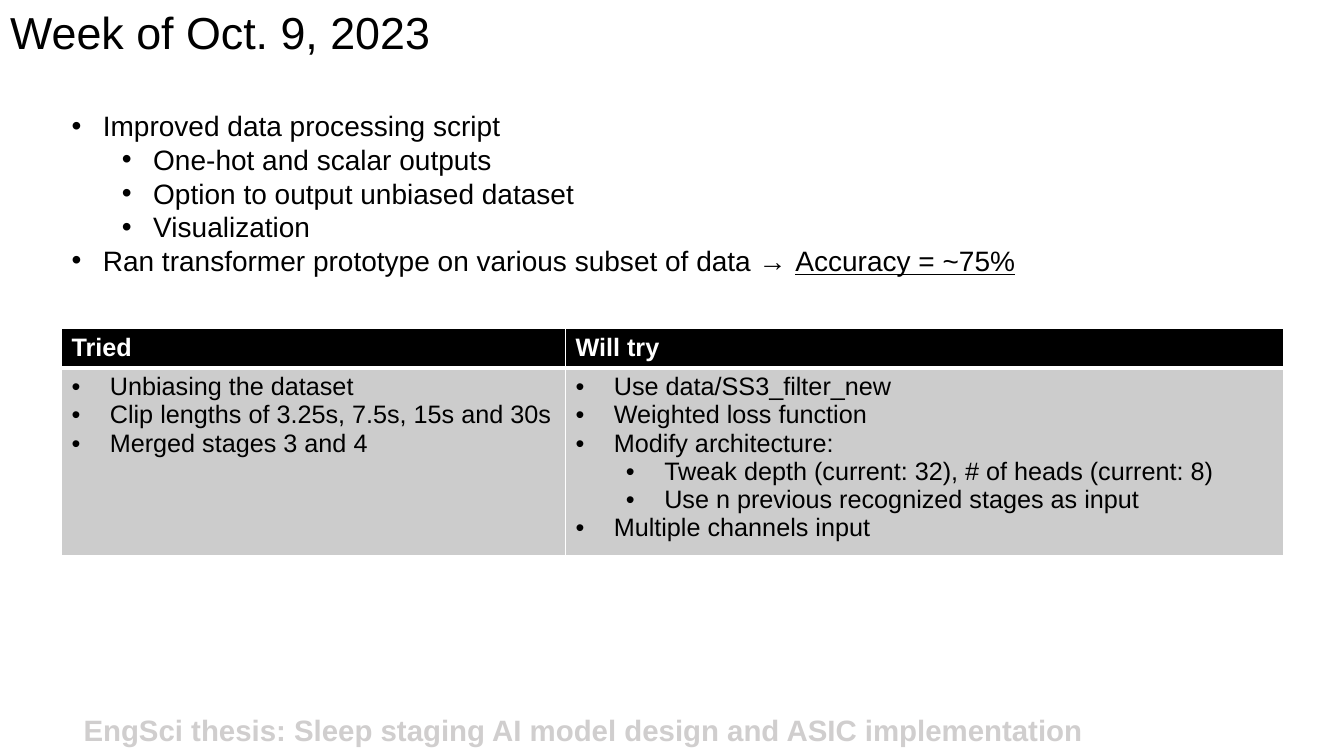
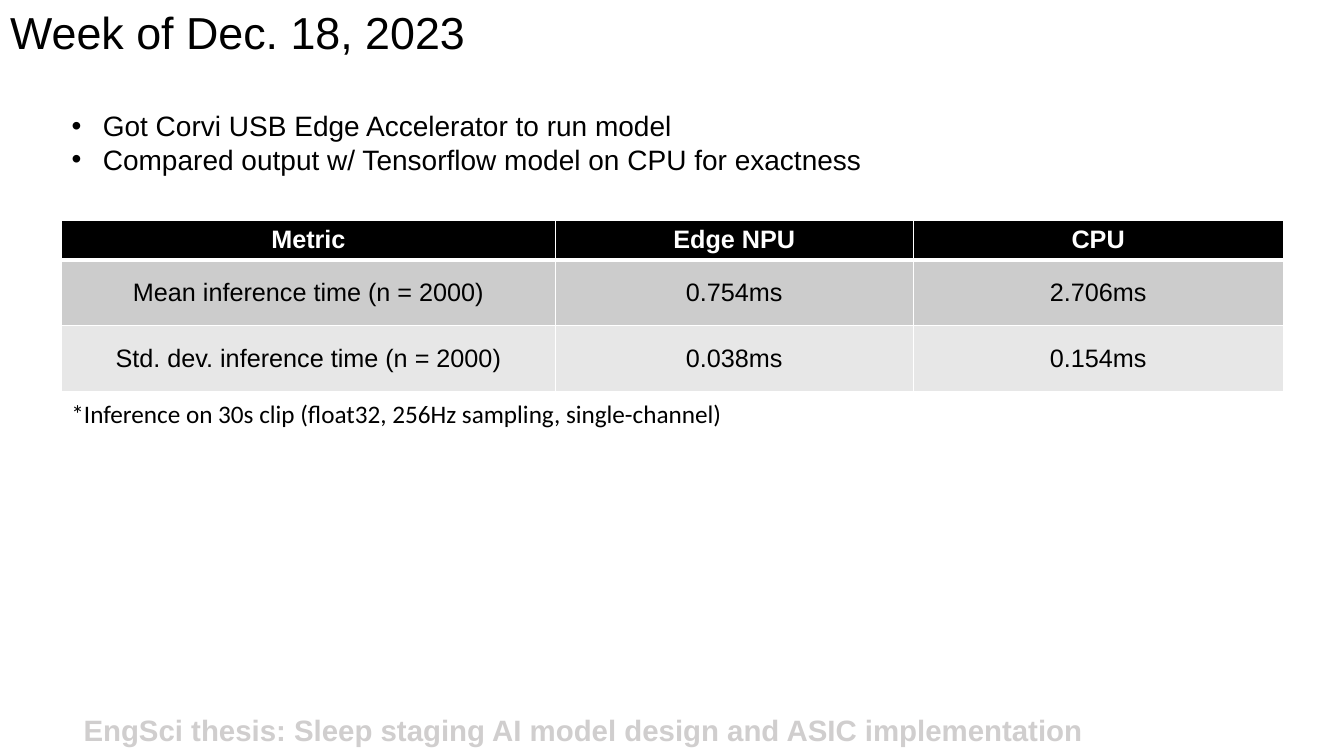
from dataclasses import dataclass

from lxml.etree import SubElement
from pptx import Presentation
from pptx.dml.color import RGBColor
from pptx.enum.text import MSO_ANCHOR, MSO_AUTO_SIZE, PP_ALIGN
from pptx.oxml.ns import qn
from pptx.util import Inches, Pt

WIDTH, HEIGHT = Inches(13.33), Inches(7.5)
COLUMNS, ROWS = 40, 30
MARGIN = 1.83
FOOTER = "EngSci thesis: Sleep staging AI model design and ASIC implementation"


@dataclass(frozen=True)
class Theme:
    font: str = "Arial"
    note_font: str = "Calibri"
    ink: RGBColor = RGBColor(0x00, 0x00, 0x00)
    paper: RGBColor = RGBColor(0xFF, 0xFF, 0xFF)
    footer: RGBColor = RGBColor(0xD0, 0xCE, 0xCE)
    bands: tuple = (RGBColor(0xCC, 0xCC, 0xCC), RGBColor(0xE7, 0xE7, 0xE7))
    title_size: int = 32
    list_size: int = 20
    table_size: int = 18
    footer_size: int = 21
    list_indent: float = 0.31
    cell_indent: float = 0.38
    level_step: float = 0.5
    thin: int = 1
    thick: int = 3


@dataclass(frozen=True)
class Item:
    text: str
    level: int = 0
    underlined: str = ""


def col(count):
    return round(count * WIDTH / COLUMNS)


def row(count):
    return round(count * HEIGHT / ROWS)


class Deck:
    def __init__(self, theme):
        self.theme = theme
        self.presentation = Presentation()
        self.presentation.slide_width = WIDTH
        self.presentation.slide_height = HEIGHT
        self.slide = None

    # Text helpers
    def add_text(self, paragraph, text, size, color=None, bold=False,
                 underline=False, font=None):
        run = paragraph.add_run()
        run.text = text
        run.font.name = font or self.theme.font
        run.font.size = Pt(size)
        run.font.bold = bold
        if underline:
            run.font.underline = True
        run.font.color.rgb = self.theme.ink if color is None else color

    def add_items(self, frame, items, size, indent):
        for index, item in enumerate(items):
            paragraph = frame.add_paragraph() if index else frame.paragraphs[0]
            paragraph.level = item.level
            paragraph.alignment = PP_ALIGN.LEFT
            paragraph.space_before = Pt(0)
            properties = paragraph._p.get_or_add_pPr()
            left = indent + item.level * self.theme.level_step
            properties.set("marL", str(Inches(left)))
            properties.set("indent", str(-Inches(indent)))
            SubElement(properties, qn("a:buFont"), typeface="Arial")
            SubElement(properties, qn("a:buChar"), char="•")
            self.add_text(paragraph, item.text, size)
            if item.underlined:
                self.add_text(paragraph, item.underlined, size, underline=True)

    def place(self, shape, left, top, width, height):
        shape.left, shape.top = col(left), row(top)
        shape.width, shape.height = col(width), row(height)
        frame = shape.text_frame
        frame.word_wrap = True
        frame.auto_size = MSO_AUTO_SIZE.NONE
        frame.vertical_anchor = MSO_ANCHOR.TOP
        return frame

    # Slide parts
    def start(self, title):
        layout = self.presentation.slide_layouts[1]
        self.slide = self.presentation.slides.add_slide(layout)
        frame = self.place(self.slide.shapes.title, 0, 0, 14.75, 2.56)
        frame.paragraphs[0].alignment = PP_ALIGN.LEFT
        self.add_text(frame.paragraphs[0], title, self.theme.title_size)
        self.line(FOOTER, 2.19, 28.08, 37.4, self.theme.footer_size,
                  color=self.theme.footer, bold=True)

    def bullets(self, items):
        height = 0.4 + 1.34 * len(items)
        frame = self.place(self.slide.placeholders[1], MARGIN, 4.12, 33.85, height)
        self.add_items(frame, items, self.theme.list_size, self.theme.list_indent)

    def line(self, text, left, top, width, size, **style):
        box = self.slide.shapes.add_textbox(0, 0, 0, 0)
        frame = self.place(box, left, top, width, 1.7)
        self.add_text(frame.paragraphs[0], text, size, **style)

    def border(self, cell, top, bottom):
        properties = cell._tc.get_or_add_tcPr()
        thin = self.theme.thin
        for side, weight in zip("LRTB", (thin, thin, top, bottom)):
            edge = SubElement(properties, qn(f"a:ln{side}"), w=str(Pt(weight)))
            fill = SubElement(edge, qn("a:solidFill"))
            SubElement(fill, qn("a:srgbClr"), val=str(self.theme.paper))

    def table(self, top, widths, heights, records, centred=False):
        theme = self.theme
        table = self.slide.shapes.add_table(
            len(heights), len(widths), col(MARGIN), row(top),
            col(sum(widths)), row(sum(heights))).table
        for column, width in zip(table.columns, widths):
            column.width = col(width)
        for line, height in zip(table.rows, heights):
            line.height = row(height)
        for r, record in enumerate(records):
            header = r == 0
            for c, content in enumerate(record):
                cell = table.cell(r, c)
                self.border(cell, theme.thick if r == 1 else theme.thin,
                            theme.thick if header else theme.thin)
                cell.fill.solid()
                cell.fill.fore_color.rgb = (
                    theme.ink if header else theme.bands[(r - 1) % 2])
                if isinstance(content, list):
                    self.add_items(cell.text_frame, content,
                                   theme.table_size, theme.cell_indent)
                    continue
                paragraph = cell.text_frame.paragraphs[0]
                if centred:
                    paragraph.alignment = PP_ALIGN.CENTER
                    if not header:
                        cell.vertical_anchor = MSO_ANCHOR.MIDDLE
                self.add_text(paragraph, content, theme.table_size,
                              theme.paper if header else theme.ink, bold=header)


def october(deck):
    deck.start("Week of Oct. 9, 2023")
    deck.bullets([
        Item("Improved data processing script"),
        Item("One-hot and scalar outputs", 1),
        Item("Option to output unbiased dataset", 1),
        Item("Visualization", 1),
        Item("Ran transformer prototype on various subset of data → ",
             underlined="Accuracy = ~75%"),
    ])
    tried = [
        Item("Unbiasing the dataset"),
        Item("Clip lengths of 3.25s, 7.5s, 15s and 30s"),
        Item("Merged stages 3 and 4"),
    ]
    will_try = [
        Item("Use data/SS3_filter_new"),
        Item("Weighted loss function"),
        Item("Modify architecture:"),
        Item("Tweak depth (current: 32), # of heads (current: 8)", 1),
        Item("Use n previous recognized stages as input", 1),
        Item("Multiple channels input"),
    ]
    deck.table(13.04, (15, 21.36), (1.56, 7.44),
               [("Tried", "Will try"), (tried, will_try)])


def december(deck):
    deck.start("Week of Dec. 18, 2023")
    deck.bullets([
        Item("Got Corvi USB Edge Accelerator to run model"),
        Item("Compared output w/ Tensorflow model on CPU for exactness"),
    ])
    deck.table(8.76, (14.7, 10.65, 11.01), (1.56, 2.6, 2.6), [
        ("Metric", "Edge NPU", "CPU"),
        ("Mean inference time (n = 2000)", "0.754ms", "2.706ms"),
        ("Std. dev. inference time (n = 2000)", "0.038ms", "0.154ms"),
    ], centred=True)
    deck.line("*Inference on 30s clip (float32, 256Hz sampling, single-channel)",
              MARGIN, 15.6, 20.04, deck.theme.table_size,
              font=deck.theme.note_font)


def main():
    deck = Deck(Theme())
    october(deck)
    december(deck)
    deck.presentation.save("out.pptx")


if __name__ == "__main__":
    main()
